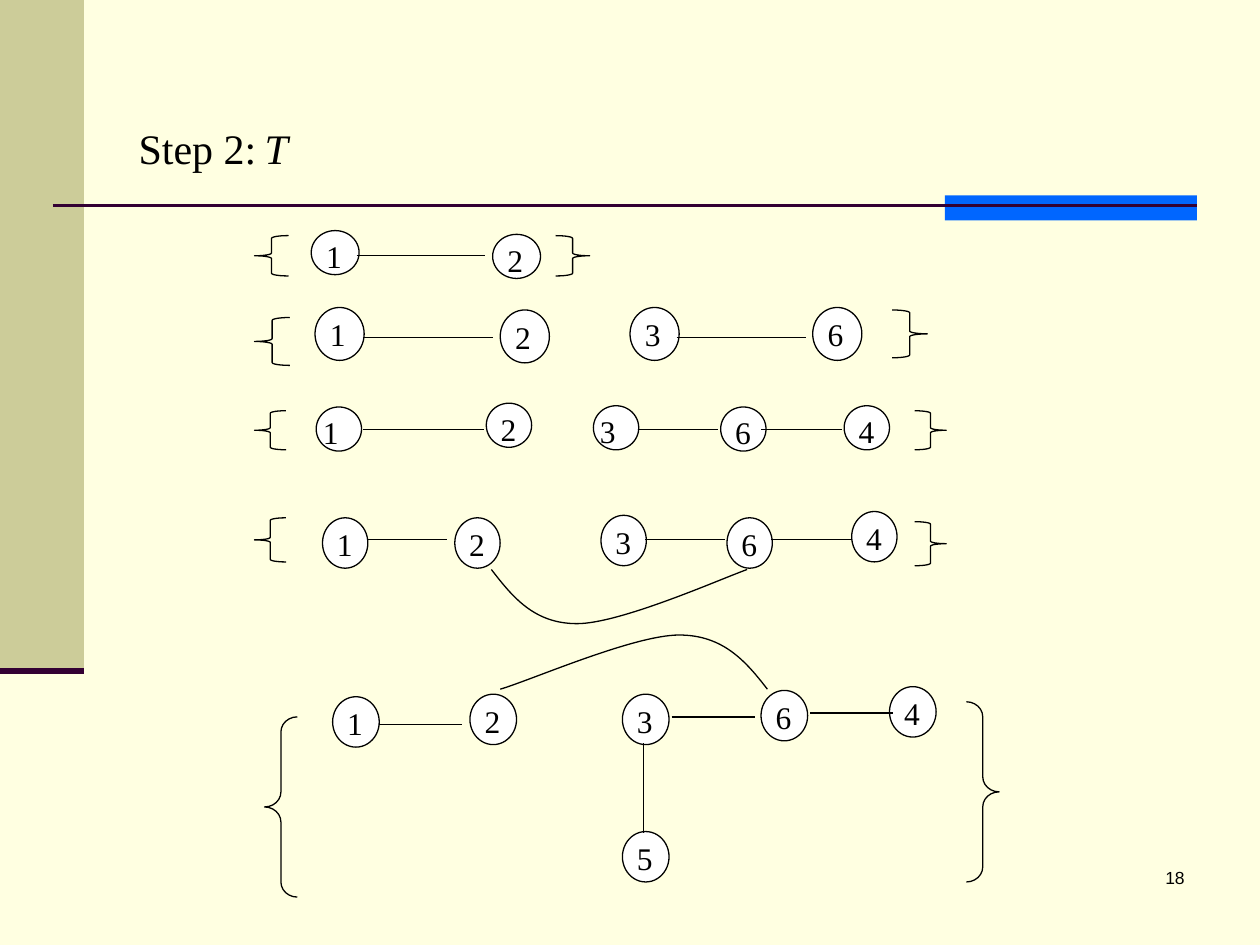
from collections import namedtuple

from lxml.etree import SubElement
from pptx import Presentation
from pptx.dml.color import RGBColor
from pptx.enum.shapes import MSO_CONNECTOR as Link, MSO_SHAPE as Preset
from pptx.enum.text import MSO_ANCHOR as Anchor, PP_ALIGN as Align
from pptx.oxml.ns import qn
from pptx.util import Inches, Pt

COLS, ROWS = 100, 75   # slide grid
CELL = 0.1             # inches per cell
SERIF, SANS = "Times New Roman", "Arial"
INK, PLUM = "000000", "330033"

Box = namedtuple("Box", "left top width height")


def cells(*counts):
    return [Inches(count * CELL) for count in counts]


def colour(hex_text):
    return RGBColor.from_string(hex_text)


def add_run(paragraph, text, size, font, italic=None):
    run = paragraph.add_run()
    run.text = text
    run.font.size, run.font.name, run.font.italic = Pt(size), font, italic
    run.font.color.rgb = colour(INK)


def outline(shape, hex_text=INK, width=0.75):
    shape.line.color.rgb = colour(hex_text)
    shape.line.width = Pt(width)


def add_preset(slide, preset, box, fill=None):
    shape = slide.shapes.add_shape(preset, *cells(*box))
    shape.shadow.inherit = False
    if fill:
        shape.fill.solid()
        shape.fill.fore_color.rgb = colour(fill)
    else:
        shape.fill.background()
    return shape


def add_line(slide, start, end, hex_text=INK, width=0.75):
    line = slide.shapes.add_connector(Link.STRAIGHT, *cells(*start, *end))
    outline(line, hex_text, width)
    SubElement(line._element.spPr, qn("a:effectLst"))


def add_curve(slide, points):
    """Draw a chain of Bezier arcs: a start, then three points for each arc."""
    builder = slide.shapes.build_freeform(*cells(*points[0]), scale=1.0)
    builder.add_line_segments([cells(*point) for point in points[1:]], close=False)
    curve = builder.convert_to_shape()
    curve.shadow.inherit = False
    curve.fill.background()
    outline(curve)
    segments = list(curve._element.iter(qn("a:lnTo")))
    outline_path = segments[0].getparent()
    for index, segment in enumerate(segments):
        if index % 3 == 0:
            arc = SubElement(outline_path, qn("a:cubicBezTo"))
        arc.append(segment[0])
        outline_path.remove(segment)


def decorate(slide, box):
    """Side bar, title rule and accent block."""
    slide.background.fill.solid()
    slide.background.fill.fore_color.rgb = colour("FFFFE1")
    bar_width, bar_height = box.width / 15, box.height * 0.71
    rule = box.top + 16.3
    for part, fill in ((Box(box.left, box.top, bar_width, bar_height), "CCCC99"),
                       (Box(box.left + 75, rule - 0.8, 20, 2), "0066FF")):
        add_preset(slide, Preset.RECTANGLE, part, fill).line.fill.background()
    add_line(slide, (box.left + 4.2, rule), (box.left + 95, rule), PLUM, 1.5)
    foot = box.top + bar_height
    add_line(slide, (box.left, foot), (box.left + bar_width, foot), PLUM, 3.5)


def write_title(slide, box):
    title = slide.shapes.title
    title.left, title.top, title.width, title.height = cells(*box)
    frame = title.text_frame
    frame.vertical_anchor = Anchor.TOP
    paragraph = frame.paragraphs[0]
    paragraph.alignment = Align.LEFT
    stops = SubElement(paragraph._p.get_or_add_pPr(), qn("a:tabLst"))
    for inch in range(1, 8):
        SubElement(stops, qn("a:tab"), pos=str(Inches(inch)), algn="l")
    add_run(paragraph, "\tStep 2:\t", 24, SERIF)
    add_run(paragraph, "T", 24, SERIF, italic=True)


def write_page_number(slide, box):
    frame = slide.shapes.add_textbox(*cells(*box)).text_frame
    frame.word_wrap = True
    frame.paragraphs[0].alignment = Align.RIGHT
    add_run(frame.paragraphs[0], "18", 10, SANS)


def add_node(slide, box, label, indent):
    node = add_preset(slide, Preset.OVAL, box, "FFFFFF")
    outline(node)
    frame = node.text_frame
    frame.word_wrap = True
    frame.vertical_anchor = Anchor.TOP
    frame.margin_left, frame.margin_top, frame.margin_right, frame.margin_bottom = cells(
        indent, 0, 0, 0)
    frame.paragraphs[0].alignment = Align.LEFT
    add_run(frame.paragraphs[0], label, 18, SERIF)


def draw_forest(slide, box, node_size, nodes, edges, brace_size, brace_tops,
                brace_curl=0.08, curve=(), flush=""):
    """One stage of T: numbered nodes and edges between two braces."""
    def place(col, row):
        return box.left + col, box.top + row

    for label, col, row in nodes:
        indent = 0 if label in flush else 0.62
        add_node(slide, Box(*place(col, row), *node_size), label, indent)
    for start_col, start_row, end_col, end_row in edges:
        add_line(slide, place(start_col, start_row), place(end_col, end_row))
    brace_cols = (0, box.width - brace_size[0])
    for preset, col, row in zip((Preset.LEFT_BRACE, Preset.RIGHT_BRACE),
                                brace_cols, brace_tops):
        brace = add_preset(slide, preset, Box(*place(col, row), *brace_size))
        brace.adjustments[0] = brace_curl
        outline(brace)
    if curve:
        add_curve(slide, [place(*point) for point in curve])


def level(row, *spans):
    """Horizontal edges that share one row."""
    return [(start, row, end, row) for start, end in spans]


# Each stage is measured in cells from the corner of its own box
STAGES = [
    dict(box=Box(20.2, 18.3, 26.6, 3.8), node_size=(3.8, 3.5),
         nodes=[("1", 4.5, 0), ("2", 18.9, 0.3)],
         edges=level(2, (8.1, 18.3)),
         brace_size=(2.7, 3.2), brace_tops=(0.4, 0.4)),
    dict(box=Box(20.2, 24.4, 53.4, 4.6), node_size=(3.9, 4.2),
         nodes=[("1", 4.8, 0), ("2", 19.5, 0.2), ("3", 29.8, 0), ("6", 44.3, 0)],
         edges=level(2.4, (8.6, 18.9), (33.5, 43.8)),
         brace_size=(2.8, 3.8), brace_tops=(0.8, 0.2)),
    dict(box=Box(20.2, 32, 54.9, 3.8), node_size=(3.6, 3.5), flush="13",
         nodes=[("1", 4.9, 0.3), ("2", 18.4, 0), ("3", 26.9, 0.2),
                ("6", 37, 0.3), ("4", 46.8, 0.2)],
         edges=level(2.1, (8.6, 18.2), (30.4, 36.8), (40.2, 46.6)),
         brace_size=(2.5, 3.1), brace_tops=(0.6, 0.6)),
    dict(box=Box(20.2, 40.6, 54.9, 8.9), node_size=(3.6, 4),
         nodes=[("1", 5.4, 0.5), ("2", 15.9, 0.5), ("3", 27.5, 0.3),
                ("6", 37.5, 0.5), ("4", 47.4, 0)],
         edges=level(2.2, (9, 15.3), (31, 37.3), (41, 47.4)),
         brace_size=(2.5, 3.5), brace_tops=(0.5, 0.8),
         curve=[(18.8, 4.6), (20.5, 6.8), (22.2, 8.9), (25.6, 8.9),
                (29, 8.9), (36.9, 5.4), (39.1, 4.6)]),
    dict(box=Box(21, 50.4, 58.3, 20.8), node_size=(3.7, 4),
         nodes=[("1", 5.4, 4.9), ("2", 16.3, 4.7), ("3", 28.4, 4.7),
                ("6", 39.4, 4.4), ("4", 49.6, 4.1), ("5", 28.4, 15.6)],
         edges=[(9.1, 7.1, 15.7, 7.1), (32.3, 6.5, 38.9, 6.5),
                (43.3, 6.2, 49.9, 6.2), (30.1, 8.6, 30.1, 15.7)],
         brace_size=(2.6, 14.3), brace_tops=(6.5, 5.3), brace_curl=0.46,
         curve=[(39.9, 4.3), (38.2, 2.1), (36.4, 0), (32.9, 0),
                (29.3, 0), (21.1, 3.6), (18.7, 4.3)]),
]


def main():
    deck = Presentation()
    deck.slide_width, deck.slide_height = cells(COLS, ROWS)
    slide = deck.slides.add_slide(deck.slide_layouts[5])
    decorate(slide, Box(0, 0, COLS, ROWS))
    write_title(slide, Box(0, 9.2, 93.5, 5))
    for stage in STAGES:
        draw_forest(slide, **stage)
    write_page_number(slide, Box(74.2, 68.3, 20.8, 5))
    deck.save("out.pptx")


if __name__ == "__main__":
    main()
